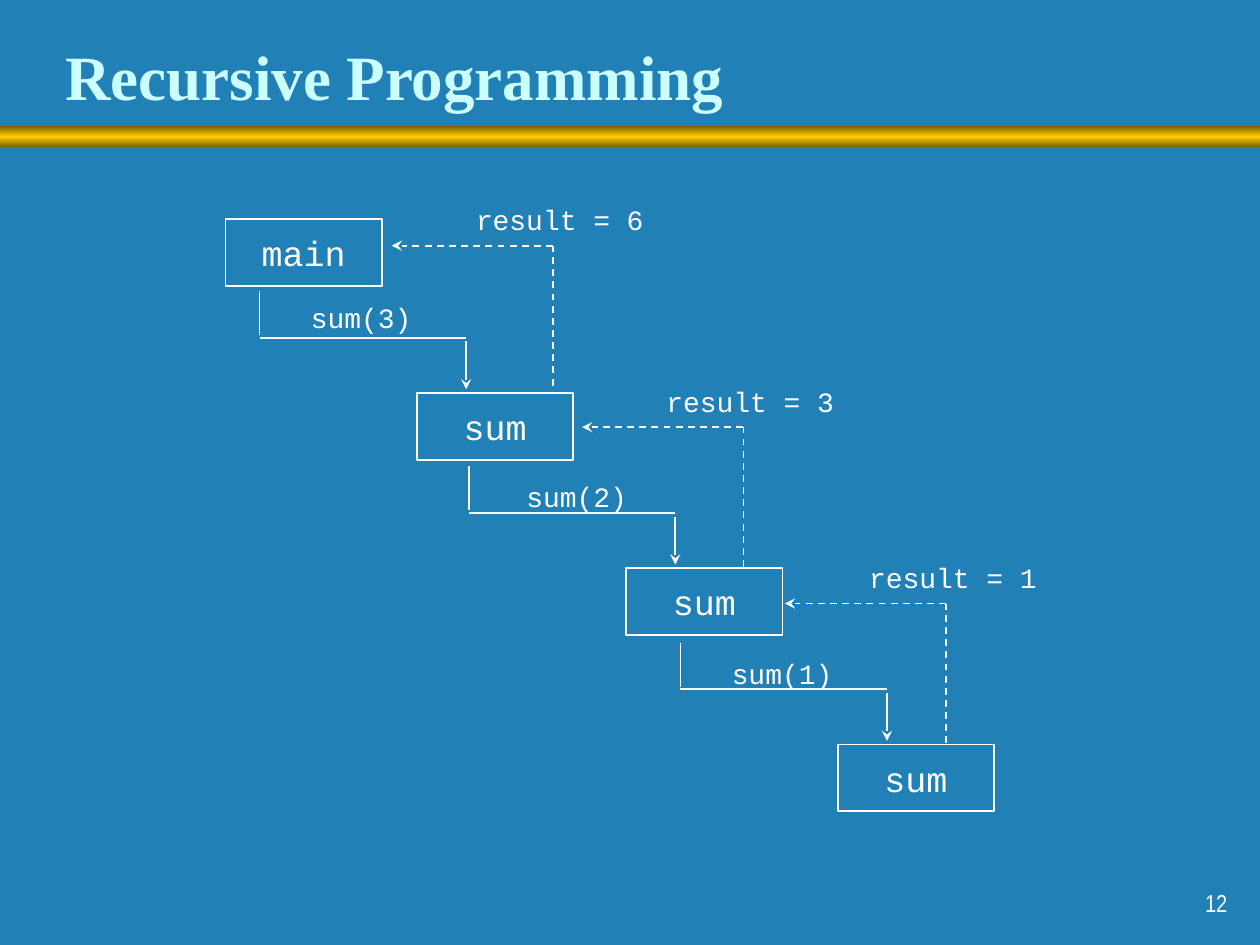
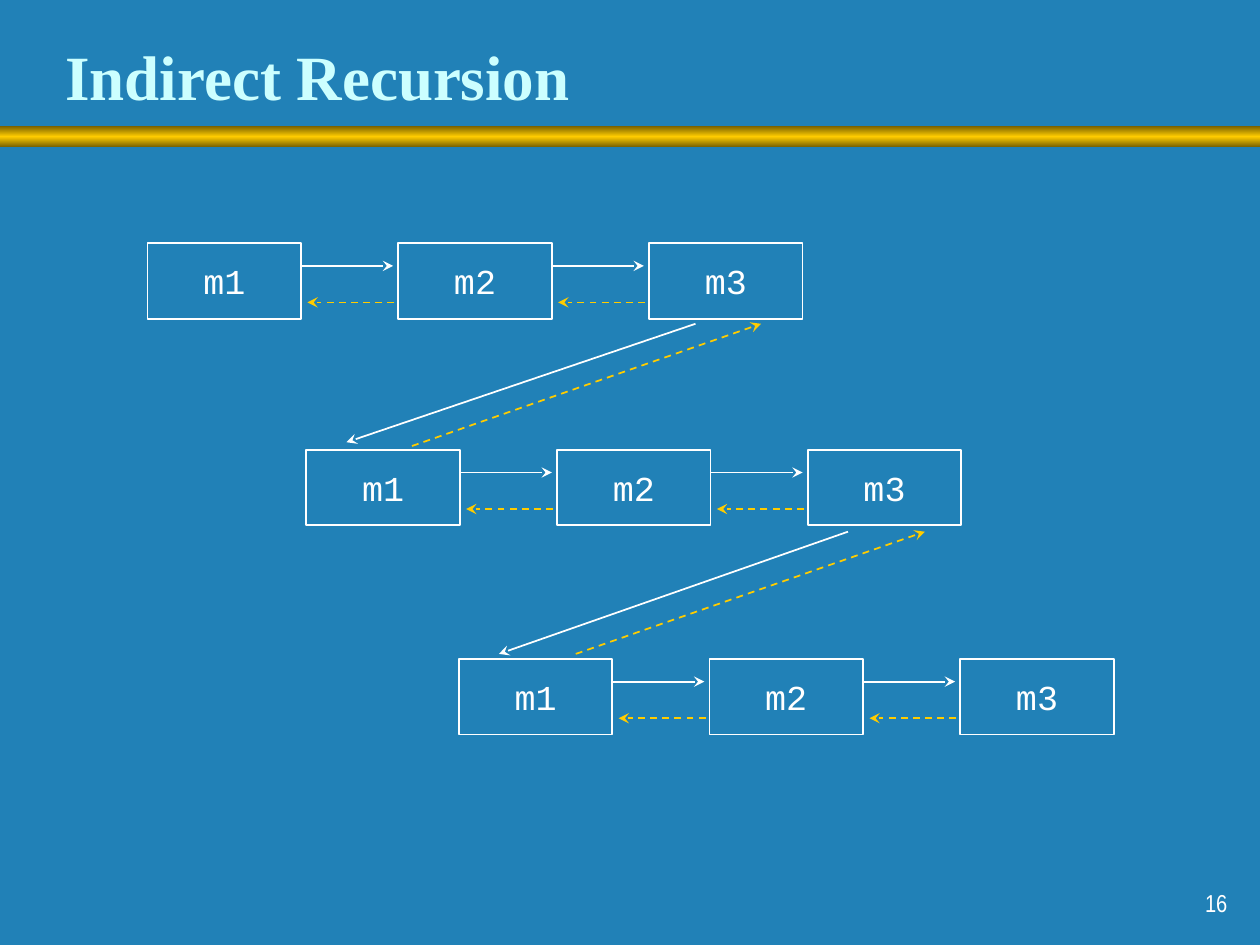
from copy import deepcopy
from dataclasses import dataclass
from typing import NamedTuple

from pptx import Presentation
from pptx.dml.color import RGBColor
from pptx.enum.dml import MSO_LINE
from pptx.enum.shapes import MSO_CONNECTOR, MSO_SHAPE
from pptx.enum.text import MSO_ANCHOR, MSO_AUTO_SIZE, PP_ALIGN
from pptx.oxml.ns import qn
from pptx.slide import Slide
from pptx.text.text import TextFrame
from pptx.util import Inches, Pt
from lxml.etree import SubElement


class Style(NamedTuple):
    font: str
    size: float
    color: RGBColor
    bold: bool = False


@dataclass(frozen=True)
class Theme:
    back: RGBColor = RGBColor(0x21, 0x81, 0xB7)
    white: RGBColor = RGBColor(0xFF, 0xFF, 0xFF)
    gold: RGBColor = RGBColor(0xFF, 0xCC, 0x00)
    bronze: RGBColor = RGBColor(0x75, 0x5E, 0x00)
    stroke: float = 1
    title: Style = Style("Times New Roman", 36, RGBColor(0xCC, 0xFF, 0xFF), True)
    node: Style = Style("Courier New", 20, white)
    label: Style = Style("Courier New", 16, white)
    page: Style = Style("Arial Narrow", 14, white)


THEME = Theme()


class Spot(NamedTuple):
    x: float
    y: float

    def move(self, dx: float, dy: float) -> "Spot":
        return Spot(self.x + dx, self.y + dy)


class Size(NamedTuple):
    wide: float
    high: float


@dataclass(frozen=True)
class Call:
    """One nested call: where it starts, its label, and its way back."""
    start: Spot
    text: str
    text_at: Spot
    bend: Spot
    result: str


@dataclass(frozen=True)
class Link:
    start: Spot
    end: Spot
    back: bool = False


# Data of the call stack
NODE = Size(1.24, 0.53)
NODES = [
    ("main", Spot(1.79, 1.74)),
    ("sum", Spot(3.31, 3.12)),
    ("sum", Spot(4.97, 4.51)),
    ("sum", Spot(6.65, 5.91)),
]
CALLS = [
    Call(Spot(2.06, 2.31), "sum(3)", Spot(2.37, 2.34), Spot(4.39, 1.95), "result = 6"),
    Call(Spot(3.72, 3.7), "sum(2)", Spot(4.08, 3.76), Spot(5.9, 3.39), "result = 3"),
    Call(Spot(5.4, 5.1), "sum(1)", Spot(5.71, 5.16), Spot(7.51, 4.79), "result = 1"),
]

# Data of the method chain
CELL = Size(1.22, 0.6)
STEP = 1.99
METHODS = ["m1", "m2", "m3"]
ROWS = [Spot(1.17, 1.93), Spot(2.43, 3.57), Spot(3.64, 5.23)]
LINKS = [
    Link(Spot(5.52, 2.57), Spot(2.75, 3.51)),
    Link(Spot(6.73, 4.22), Spot(3.96, 5.19)),
    Link(Spot(3.27, 3.54), Spot(6.04, 2.57), back=True),
    Link(Spot(4.57, 5.19), Spot(7.34, 4.22), back=True),
]


# Shared drawing tools
def write(frame: TextFrame, text: str, style: Style, align: PP_ALIGN = PP_ALIGN.LEFT,
          anchor: MSO_ANCHOR = MSO_ANCHOR.TOP, wrap: bool = False) -> None:
    frame.text = text
    frame.word_wrap = wrap
    frame.vertical_anchor = anchor
    line = frame.paragraphs[0]
    line.alignment = align
    font = line.runs[0].font
    font.name, font.size, font.bold = style.font, Pt(style.size), style.bold
    font.color.rgb = style.color


def add_text(slide: Slide, at: Spot, size: Size) -> TextFrame:
    box = slide.shapes.add_textbox(*map(Inches, (*at, *size)))
    return box.text_frame


def add_label(slide: Slide, at: Spot, wide: float, text: str) -> None:
    frame = add_text(slide, at, Size(wide, 0.37))
    write(frame, text, THEME.label)
    frame.auto_size = MSO_AUTO_SIZE.SHAPE_TO_FIT_TEXT


def add_node(slide: Slide, at: Spot, size: Size, text: str) -> None:
    box = slide.shapes.add_shape(MSO_SHAPE.RECTANGLE, *map(Inches, (*at, *size)))
    box.shadow.inherit = False
    box.fill.background()
    box.line.color.rgb = THEME.white
    box.line.width = Pt(THEME.stroke)
    write(box.text_frame, text, THEME.node, PP_ALIGN.CENTER, MSO_ANCHOR.MIDDLE)


def add_line(slide: Slide, start: Spot, end: Spot, color: RGBColor = THEME.white,
             dash: bool = False, arrow: bool = True) -> None:
    wire = slide.shapes.add_connector(
        MSO_CONNECTOR.STRAIGHT, *map(Inches, (*start, *end)))
    wire.line.color.rgb = color
    wire.line.width = Pt(THEME.stroke)
    if dash:
        wire.line.dash_style = MSO_LINE.DASH
    props = wire._element.spPr
    if arrow:
        SubElement(props.find(qn("a:ln")), qn("a:tailEnd"), type="stealth")
    SubElement(props, qn("a:effectLst"))


def add_band(slide: Slide) -> None:
    band = slide.shapes.add_shape(
        MSO_SHAPE.RECTANGLE, 0, Inches(1), Inches(10), Inches(0.17))
    band.shadow.inherit = False
    band.line.fill.background()
    band.fill.gradient()
    band.fill.gradient_angle = 90
    stops = band._element.spPr.find(qn("a:gradFill")).find(qn("a:gsLst"))
    stops.append(deepcopy(stops[0]))
    shades = [(0, THEME.bronze), (0.5, THEME.gold), (1, THEME.bronze)]
    for stop, (place, color) in zip(band.fill.gradient_stops, shades):
        stop.position = place
        stop.color.rgb = color


def add_page(deck: Presentation, title: str, number: int) -> Slide:
    slide = deck.slides.add_slide(deck.slide_layouts[6])
    slide.background.fill.solid()
    slide.background.fill.fore_color.rgb = THEME.back
    add_band(slide)
    write(add_text(slide, Spot(0.42, 0.22), Size(8.55, 0.75)), title,
          THEME.title, anchor=MSO_ANCHOR.MIDDLE, wrap=True)
    foot = add_text(slide, Spot(7.76, 6.83), Size(2.08, 0.5))
    write(foot, str(number), THEME.page, PP_ALIGN.RIGHT, MSO_ANCHOR.BOTTOM, True)
    foot.paragraphs[0].space_before = Pt(8.8)
    return slide


# Call stack: solid steps down, dashed steps back up
def add_call(slide: Slide, call: Call) -> None:
    start, bend = call.start, call.bend
    add_line(slide, start, start.move(0, 0.35), arrow=False)
    add_line(slide, start.move(0, 0.37), start.move(1.64, 0.37), arrow=False)
    add_line(slide, start.move(1.64, 0.4), start.move(1.64, 0.78))
    add_label(slide, call.text_at, 1, call.text)
    add_line(slide, bend.move(0, 1.11), bend, dash=True, arrow=False)
    add_line(slide, bend, bend.move(-1.28, 0), dash=True)
    add_label(slide, bend.move(-0.71, -0.39), 1.53, call.result)


def draw_stack(slide: Slide) -> None:
    for text, at in NODES:
        add_node(slide, at, NODE, text)
    for call in CALLS:
        add_call(slide, call)


# Method chain: rows of boxes, joined by slanted links
def add_link(slide: Slide, link: Link) -> None:
    color = THEME.gold if link.back else THEME.white
    add_line(slide, link.start, link.end, color, dash=link.back)


def add_row(slide: Slide, row: Spot) -> None:
    for index, text in enumerate(METHODS):
        at = row.move(index * STEP, 0)
        add_node(slide, at, CELL, text)
        if index < len(METHODS) - 1:
            add_link(slide, Link(at.move(1.22, 0.18), at.move(1.95, 0.18)))
            add_link(slide, Link(at.move(1.96, 0.47), at.move(1.27, 0.47), True))


def draw_chain(slide: Slide) -> None:
    for row in ROWS:
        add_row(slide, row)
    for link in LINKS:
        add_link(slide, link)


def main() -> None:
    deck = Presentation()
    deck.slide_width, deck.slide_height = Inches(10), Inches(7.5)
    draw_stack(add_page(deck, "Recursive Programming", 12))
    draw_chain(add_page(deck, "Indirect Recursion", 16))
    deck.save("out.pptx")


if __name__ == "__main__":
    main()
